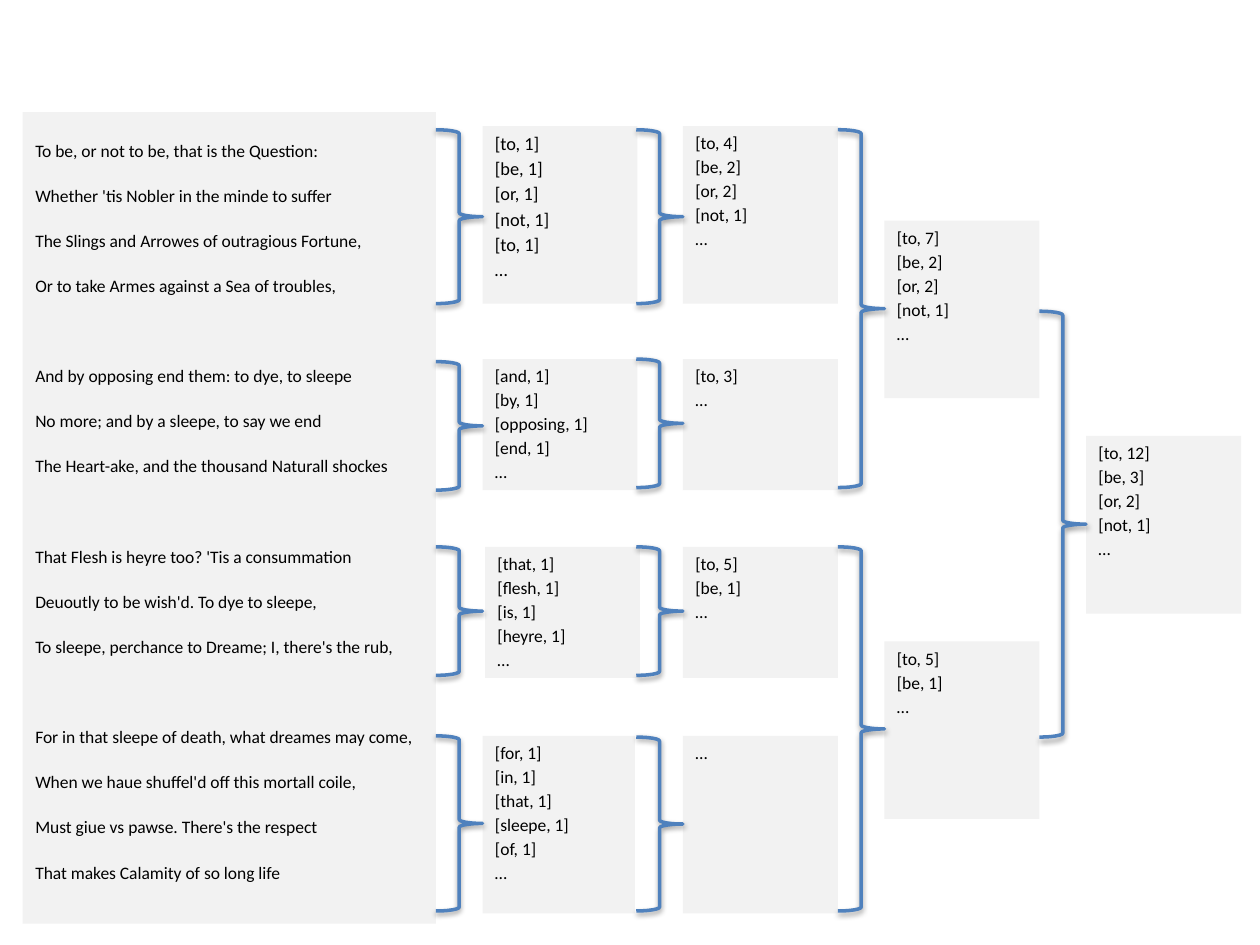
from lxml import etree
from pptx import Presentation
from pptx.dml.color import RGBColor
from pptx.enum import shapes, text
from pptx.oxml import parse_xml
from pptx.oxml.ns import nsdecls, qn
from pptx.util import Inches, Pt

GREY = RGBColor(0xF2, 0xF2, 0xF2)
BLUE = RGBColor(0x4F, 0x81, 0xBD)
BLACK = RGBColor(0, 0, 0)
SHADOW = (
    f'<a:effectLst {nsdecls("a")}><a:outerShdw blurRad="40000" dist="20000" dir="5400000" rotWithShape="0">'
    '<a:srgbClr val="000000"><a:alpha val="38000"/></a:srgbClr></a:outerShdw></a:effectLst>'
)


def write(sp, stanzas, size=10, line_spacing=1, stanza_gap=0):
    sp.fill.solid()
    sp.fill.fore_color.rgb = GREY
    tf = sp.text_frame
    tf.word_wrap = True
    tf.auto_size = text.MSO_AUTO_SIZE.NONE
    tf.vertical_anchor = text.MSO_ANCHOR.TOP
    lines = [(row, i == 0 and n > 0) for n, stanza in enumerate(stanzas) for i, row in enumerate(stanza)]
    for n, (row, opens_stanza) in enumerate(lines):
        p = tf.paragraphs[0] if n == 0 else tf.add_paragraph()
        p.alignment = text.PP_ALIGN.LEFT
        p.line_spacing = line_spacing
        p.space_before = Pt(round(0.17 * size + (stanza_gap if opens_stanza else 0), 1))
        pPr = p._p.get_or_add_pPr()
        pPr.set("marL", "0")
        pPr.set("indent", "0")
        etree.SubElement(pPr, qn("a:buNone"))
        r = p.add_run()
        r.text = row
        r.font.name = "Calibri"
        r.font.size = Pt(size)
        r.font.color.rgb = BLACK


prs = Presentation()
prs.slide_width, prs.slide_height = Inches(10), Inches(7.5)
s = prs.slides.add_slide(prs.slide_layouts[1])
title = s.shapes.title._element
title.getparent().remove(title)

poem = [
    [
        "To be, or not to be, that is the Question:",
        "Whether 'tis Nobler in the minde to suffer",
        "The Slings and Arrowes of outragious Fortune,",
        "Or to take Armes against a Sea of troubles,",
    ],
    [
        "And by opposing end them: to dye, to sleepe",
        "No more; and by a sleepe, to say we end",
        "The Heart-ake, and the thousand Naturall shockes",
    ],
    [
        "That Flesh is heyre too? 'Tis a consummation",
        "Deuoutly to be wish'd. To dye to sleepe,",
        "To sleepe, perchance to Dreame; I, there's the rub,",
    ],
    [
        "For in that sleepe of death, what dreames may come,",
        "When we haue shuffel'd off this mortall coile,",
        "Must giue vs pawse. There's the respect",
        "That makes Calamity of so long life",
    ],
]
body = s.placeholders[1]
body.left, body.top, body.width, body.height = Inches(0.18), Inches(0.89), Inches(3.28), Inches(6.44)
write(body, poem, line_spacing=2, stanza_gap=26)

TALL, SHORT = 1.41, 1.04
counts = [
    (3.83, 1, 1.23, TALL, 10.5, "[to, 1]|[be, 1]|[or, 1]|[not, 1]|[to, 1]|…"),
    (3.83, 2.85, 1.23, SHORT, 10, "[and, 1]|[by, 1]|[opposing, 1]|[end, 1]|…"),
    (3.85, 4.34, 1.23, SHORT, 10, "[that, 1]|[flesh, 1]|[is, 1]|[heyre, 1]|…"),
    (3.83, 5.84, 1.21, TALL, 10, "[for, 1]|[in, 1]|[that, 1]|[sleepe, 1]|[of, 1]|…"),
    (5.42, 1, 1.23, TALL, 10, "[to, 4]|[be, 2]|[or, 2]|[not, 1]|…"),
    (5.42, 2.85, 1.23, SHORT, 10, "[to, 3]|…"),
    (5.42, 4.34, 1.23, SHORT, 10, "[to, 5]|[be, 1]|…"),
    (5.42, 5.84, 1.23, TALL, 10, "…"),
    (7.02, 1.75, 1.23, TALL, 10, "[to, 7]|[be, 2]|[or, 2]|[not, 1]|…"),
    (7.02, 5.09, 1.23, TALL, 10, "[to, 5]|[be, 1]|…"),
    (8.62, 3.46, 1.23, TALL, 10, "[to, 12]|[be, 3]|[or, 2]|[not, 1]|…"),
]
for x, y, w, h, size, pairs in counts:
    sp = s.shapes.add_shape(shapes.MSO_SHAPE.RECTANGLE, Inches(x), Inches(y), Inches(w), Inches(h))
    sp.shadow.inherit = False
    sp.line.fill.background()
    write(sp, [pairs.split("|")], size=size)

braces = {
    3.46: [(1.03, 1.38), (2.87, 1.02), (4.34, 1.02), (5.84, 1.39)],
    5.05: [(1.03, 1.38), (2.85, 1.02), (4.34, 1.02), (5.85, 1.38)],
    6.65: [(1.03, 2.84), (4.34, 2.89)],
    8.25: [(2.47, 3.38)],
}
for x, spans in braces.items():
    for y, h in spans:
        sp = s.shapes.add_shape(shapes.MSO_SHAPE.RIGHT_BRACE, Inches(x), Inches(y), Inches(0.37), Inches(h))
        sp.fill.background()
        sp.line.color.rgb = BLUE
        sp.line.width = Pt(2)
        sp._element.spPr.append(parse_xml(SHADOW))

prs.save("out.pptx")
